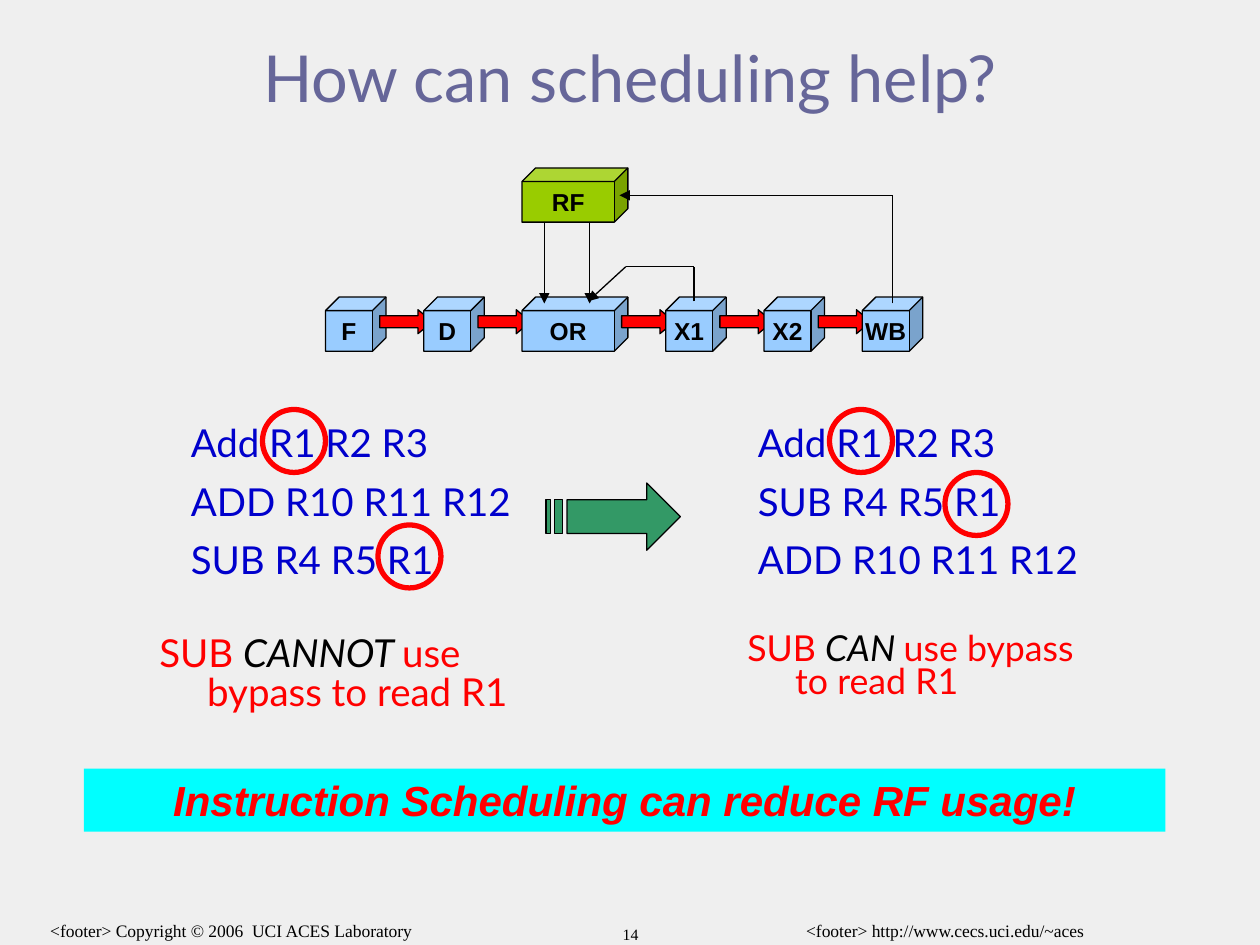
from pptx import Presentation
from pptx.dml.color import RGBColor
from pptx.enum.shapes import MSO_CONNECTOR, MSO_SHAPE as SHAPE
from pptx.enum.text import MSO_ANCHOR as ANCHOR, PP_ALIGN as ALIGN
from pptx.oxml.ns import qn
from pptx.util import Inches, Pt
from lxml.etree import SubElement

BLACK = RGBColor(0, 0, 0)
RED = RGBColor(255, 0, 0)
BLUE = RGBColor(0, 0, 0xCC)
SLATE = RGBColor(0x66, 0x66, 0x99)
SKY = RGBColor(0x99, 0xCC, 0xFF)
LIME = RGBColor(0x99, 0xCC, 0)
GREEN = RGBColor(0x33, 0x99, 0x66)
CYAN = RGBColor(0, 255, 255)
PAPER = RGBColor(0xEF, 0xEF, 0xEF)

# The slide is a grid of 120 columns by 90 rows
COLS, ROWS = 120, 90
UNIT = Inches(10) // COLS

# Content: boxes are column, row, width, height
TITLE = "How can scheduling help?"
BANNER = "Instruction Scheduling can reduce RF usage!"
FOOTERS = [
    ("<footer> Copyright © 2006  UCI ACES Laboratory", (0, 87, 44, 4), 10),
    ("<footer> http://www.cecs.uci.edu/~aces", (68, 87, 44, 4), 10),
    ("14", (45.1, 87.5, 29.9, 3), 9),
]
PROGRAMS = [
    (["Add R1 R2 R3", "ADD R10 R11 R12", "SUB R4 R5 R1"], (17, 40, 36, 17)),
    (["Add R1 R2 R3", "SUB R4 R5 R1", "ADD R10 R11 R12"], (71, 40, 33, 18)),
]
NOTES = [("CANNOT ", (14, 60, 41, 11), 22, 0.85),
         ("CAN ", (70, 60, 36, 9), 20.4, 0.75)]
CIRCLES = [(25, 39), (36, 50), (79, 39), (90, 45)]

# Pipeline
STAGES = ["F", "D", "OR", "X1", "X2", "WB"]
NARROW, WIDE, CUBE_H, GAP = 5.76, 10.08, 5.16, 3.6
PIPE_X, PIPE_Y, RF_Y = 31, 28.3, 16
PATHS = [  # points of each wire, and whether it ends in an arrowhead
    [(51.84, 21.1), (51.84, 28.9)],
    [(56.16, 21.1), (56.16, 28.9)],
    [(85, 28.9), (85, 18.6), (59, 18.6)],
    [(66.1, 28.7), (66.1, 25.4), (59.6, 25.4), (56, 28.7)],
]
STRIPED_ARROW = [
    [(54, 47.6), (61.6, 47.6), (61.6, 46), (64.8, 49.2),
     (61.6, 52.4), (61.6, 50.8), (54, 50.8)],
    [(52, 47.6), (52.4, 47.6), (52.4, 50.8), (52, 50.8)],
    [(52.8, 47.6), (53.6, 47.6), (53.6, 50.8), (52.8, 50.8)],
]

prs = Presentation()
prs.slide_width, prs.slide_height = UNIT * COLS, UNIT * ROWS
slide = prs.slides.add_slide(prs.slide_layouts[6])
slide.background.fill.solid()
slide.background.fill.fore_color.rgb = PAPER


def grid(*values):
    return [round(v * UNIT) for v in values]


def write(s, paragraphs, size, color=BLACK, font="Lato", align=ALIGN.CENTER,
          anchor=ANCHOR.TOP, wrap=True, bold=False, italic=False,
          spacing=None, hanging=False):
    """Each paragraph is a string or a list of (text, color, italic) runs."""
    tf = s.text_frame
    tf.word_wrap, tf.vertical_anchor = wrap, anchor
    for i, runs in enumerate(paragraphs):
        p = tf.add_paragraph() if i else tf.paragraphs[0]
        p.alignment = align
        if spacing:
            p.line_spacing = spacing
        if i:
            p.space_before = Pt(11)
        if hanging:
            pPr = p._p.get_or_add_pPr()
            pPr.set("marL", str(Inches(0.38)))
            pPr.set("indent", str(-Inches(0.38)))
        if isinstance(runs, str):
            runs = [(runs, color, italic)]
        for text, run_color, run_italic in runs:
            r = p.add_run()
            r.text = text
            r.font.name, r.font.size = font, Pt(size)
            r.font.bold, r.font.italic = bold, run_italic
            r.font.color.rgb = run_color


def textbox(box, paragraphs, size, **fmt):
    write(slide.shapes.add_textbox(*grid(*box)), paragraphs, size, **fmt)


def paint(s, fill=None, line=BLACK, width=0.75):
    s.shadow.inherit = False
    if fill is None:
        s.fill.background()
    else:
        s.fill.solid()
        s.fill.fore_color.rgb = fill
    if line is None:
        s.line.fill.background()
    else:
        s.line.color.rgb, s.line.width = line, Pt(width)
    return s


def shape(kind, box, **look):
    return paint(slide.shapes.add_shape(kind, *grid(*box)), **look)


def cube(x, y, width, label, fill):
    s = shape(SHAPE.CUBE, (x, y, width, CUBE_H), fill=fill)
    write(s, [label], 14, font="Arial", bold=True, wrap=False,
          anchor=ANCHOR.MIDDLE)


def wire(start, end, arrow):
    s = slide.shapes.add_connector(MSO_CONNECTOR.STRAIGHT, *grid(*start, *end))
    s.line.color.rgb, s.line.width = BLACK, Pt(0.75)
    if arrow:
        SubElement(s.line._get_or_add_ln(), qn("a:tailEnd"), type="triangle")
    SubElement(s._element.spPr, qn("a:effectLst"))


# Title and footers
textbox((6, 3.6, 108, 8.6), [TITLE], 37, color=SLATE, spacing=0.85,
        anchor=ANCHOR.MIDDLE)
for text, box, size in FOOTERS:
    textbox(box, [text], size, font="Times New Roman")

# Pipeline stages, each arrow tucked under the next cube
x = PIPE_X
for stage in STAGES:
    width = WIDE if stage == "OR" else NARROW
    cube(x, PIPE_Y, width, stage, SKY)
    if stage == "OR":
        cube(x, RF_Y, width, "RF", LIME)
    if stage != STAGES[-1]:
        s = shape(SHAPE.RIGHT_ARROW, (x + width - 0.6, 29.5, 5.04, 2.28),
                  fill=RED)
        s.adjustments[0], s.adjustments[1] = 0.5, 0.61
    x += width + GAP

# Wires
for points in PATHS:
    for start, end in zip(points, points[1:]):
        wire(start, end, arrow=end == points[-1])

# Programs before and after scheduling, with what each allows
for lines, box in PROGRAMS:
    textbox(box, lines, 22, color=BLUE, align=ALIGN.LEFT, spacing=0.85,
            hanging=True)
for verb, box, size, spacing in NOTES:
    runs = [("SUB ", RED, False), (verb, BLACK, True),
            ("use bypass to read R1", RED, False)]
    textbox(box, [runs], size, align=ALIGN.LEFT, spacing=spacing, hanging=True)

# Striped arrow between the programs, drawn in hundredths of a unit
contours = [[(px * 100, py * 100) for px, py in c] for c in STRIPED_ARROW]
builder = slide.shapes.build_freeform(*contours[0][0], scale=UNIT / 100)
for i, points in enumerate(contours):
    if i:
        builder.move_to(*points[0])
    builder.add_line_segments(points[1:], close=True)
paint(builder.convert_to_shape(), fill=GREEN)

# Banner
s = shape(SHAPE.RECTANGLE, (8, 73.2, 103, 6), fill=CYAN, line=None)
write(s, [BANNER], 24, color=RED, font="Arial", bold=True, italic=True)

# Circles around the R1 registers
for col, row in CIRCLES:
    shape(SHAPE.OVAL, (col, row, 6, 6), line=RED, width=3)

prs.save("out.pptx")
